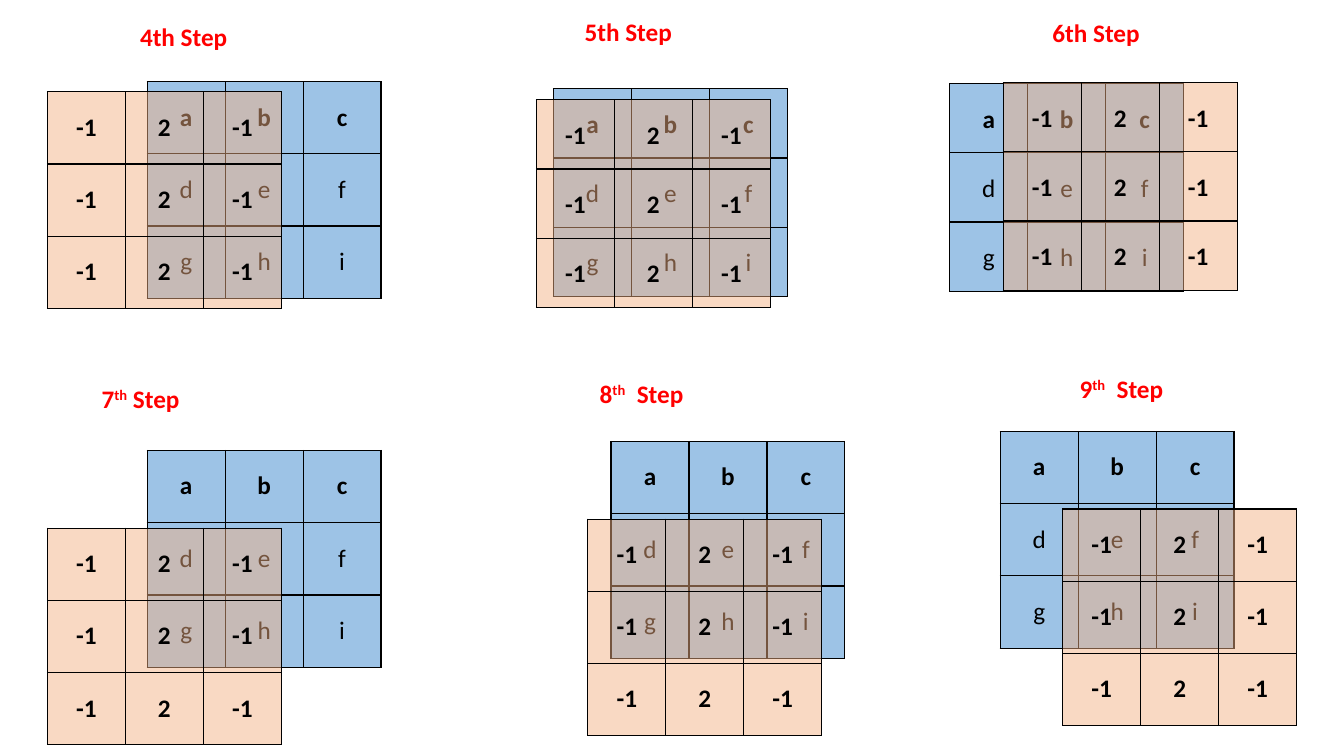
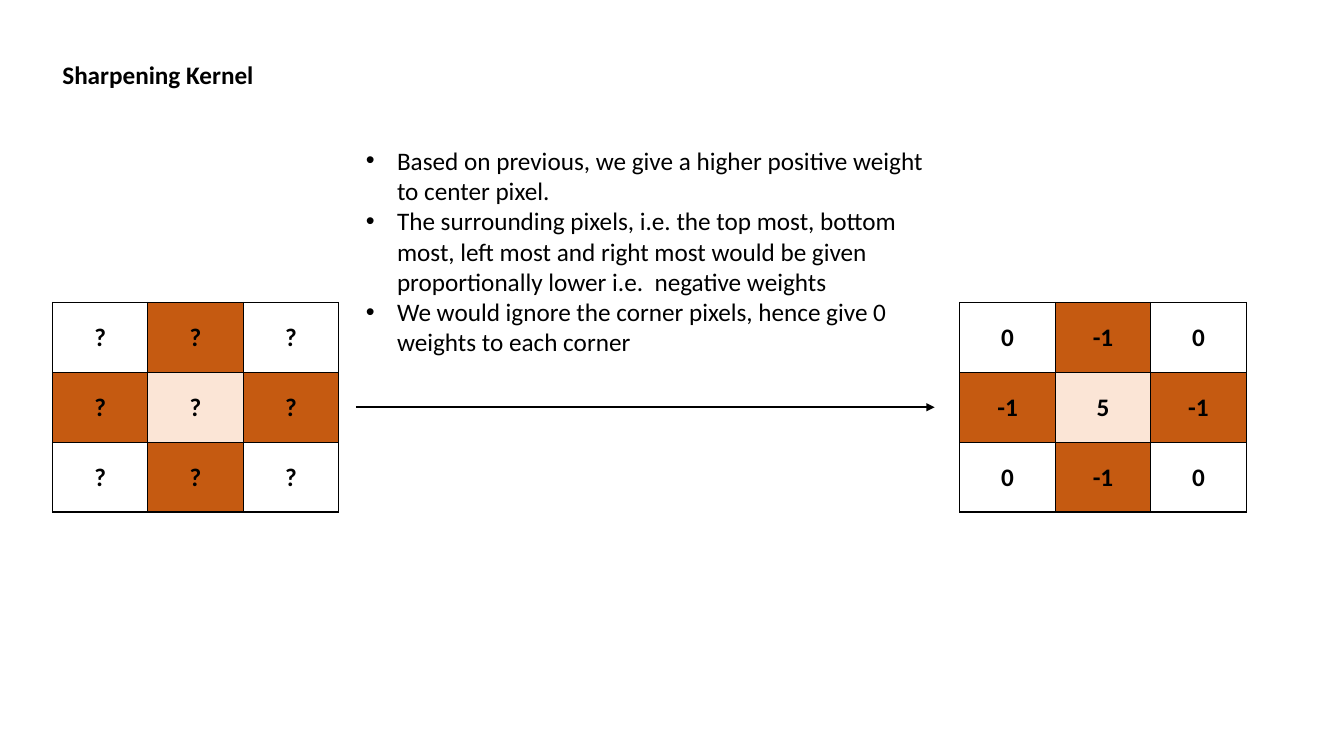
from dataclasses import dataclass
from typing import Any

from lxml.etree import SubElement
from pptx import Presentation
from pptx.dml.color import RGBColor
from pptx.enum.shapes import MSO_CONNECTOR
from pptx.enum.text import PP_ALIGN
from pptx.oxml import parse_xml
from pptx.oxml.ns import nsdecls, qn
from pptx.util import Inches, Pt

BLACK, RED, WHITE = "000000", "FF0000", "FFFFFF"
BLUE, PEACH, RUST, CREAM = "9DC3E6", "F4B183", "C55A11", "FBE5D6"
FONT = {"name": "Calibri", "size": Pt(18), "bold": False}
BOLD = FONT | {"bold": True}
PLAIN = {"first_row": False, "horz_banding": False}
CELL = {"alignment": PP_ALIGN.CENTER, "line_spacing": 1.5}

PIXELS = ["abc", "def", "ghi"]
WEIGHTS = [["-1", "2", "-1"]] * 3
CROSS = [
    [WHITE, RUST, WHITE],
    [RUST, CREAM, RUST],
    [WHITE, RUST, WHITE],
]
POINTS = [
    "Based on previous, we give a higher positive weight to center pixel.",
    "The surrounding pixels, i.e. the top most, bottom most, left most and "
    "right most would be given proportionally lower i.e.  negative weights",
    "We would ignore the corner pixels, hence give 0 weights to each corner",
]


@dataclass
class Box:
    left: float
    top: float
    width: float
    height: float

    def place(self) -> list[int]:
        return [Inches(n) for n in (self.left, self.top, self.width, self.height)]


@dataclass
class Step:
    words: list[str]
    title: Box
    image: tuple[float, float]
    kernel: tuple[float, float]
    height: float = 2.15


STEPS = [
    Step(["4th Step"], Box(1.29, 0.16, 1.75, 0.71), (1.46, 0.81), (0.47, 0.91)),
    Step(["5th Step"], Box(5.7, 0.11, 1.75, 0.71), (5.49, 0.88), (5.32, 0.99), 2.06),
    Step(["6th Step"], Box(10.34, 0.12, 1.75, 0.71), (9.42, 0.83), (9.95, 0.82), 2.06),
    Step(["7", "th", " Step"], Box(0.91, 3.75, 2.04, 0.4), (1.46, 4.47), (0.47, 5.24)),
    Step(["8", "th", "  Step"], Box(5.85, 3.7, 2.04, 0.4), (6.06, 4.38), (5.83, 5.15)),
    Step(["9", "th", "  Step"], Box(10.61, 3.65, 2.04, 0.4), (9.92, 4.28), (10.54, 5.05)),
]


def color(code: str) -> RGBColor:
    return RGBColor.from_string(code)


def apply(item: Any, values: dict[str, Any]) -> None:
    for name, value in values.items():
        setattr(item, name, value)


def write(para: Any, text: str, look: dict[str, Any], code: str = BLACK) -> Any:
    run = para.add_run()
    run.text = text
    apply(run.font, look)
    run.font.color.rgb = color(code)
    return run


def add_text(slide: Any, box: Box) -> Any:
    frame = slide.shapes.add_textbox(*box.place()).text_frame
    frame.word_wrap = True
    return frame


def add_title(slide: Any, box: Box, words: list[str], code: str) -> None:
    para = add_text(slide, box).paragraphs[0]
    for word in words:
        run = write(para, word, BOLD, code)
        if word == "th":
            run._r.get_or_add_rPr().set("baseline", "30000")


def paint(cell: Any, code: str, alpha: int) -> None:
    cell.fill.solid()
    cell.fill.fore_color.rgb = color(code)
    props = cell._tc.get_or_add_tcPr()
    if alpha < 100:
        tint = props.find(f".//{qn('a:srgbClr')}")
        SubElement(tint, qn("a:alpha")).set("val", str(alpha * 1000))
    for spot, side in enumerate("LRTB"):
        props.insert(spot, parse_xml(
            f'<a:ln{side} {nsdecls("a")} w="{Pt(1)}"><a:solidFill>'
            f'<a:srgbClr val="{BLACK}"/></a:solidFill></a:ln{side}>'))


def add_grid(slide: Any, box: Box, texts: list, fills: list,
             alpha: int = 100, light: bool = False) -> None:
    table = slide.shapes.add_table(3, 3, *box.place()).table
    apply(table, PLAIN)
    for col in table.columns:
        col.width = Inches(box.width / 3)
    for r, row in enumerate(table.rows):
        row.height = Inches(box.height / 3)
        for c, cell in enumerate(row.cells):
            paint(cell, fills[r][c], alpha)
            para = cell.text_frame.paragraphs[0]
            apply(para, CELL)
            write(para, texts[r][c], FONT if light and r else BOLD)


def add_points(slide: Any, box: Box, points: list[str]) -> None:
    frame = add_text(slide, box)
    for n, point in enumerate(points):
        para = frame.add_paragraph() if n else frame.paragraphs[0]
        props = para._p.get_or_add_pPr()
        props.set("marL", str(Inches(0.31)))
        props.set("indent", str(-Inches(0.31)))
        SubElement(props, qn("a:buFont")).set("typeface", "Arial")
        SubElement(props, qn("a:buChar")).set("char", "•")
        write(para, point, FONT)


def add_arrow(slide: Any, left: float, right: float, top: float) -> None:
    arrow = slide.shapes.add_connector(
        MSO_CONNECTOR.STRAIGHT, Inches(left), Inches(top), Inches(right), Inches(top))
    arrow.line.width = Pt(1.5)
    arrow.line.color.rgb = color(BLACK)
    props = arrow._element.spPr
    SubElement(props.find(qn("a:ln")), qn("a:tailEnd")).set("type", "triangle")
    SubElement(props, qn("a:effectLst"))


def draw_steps(slide: Any) -> None:
    for step in STEPS:
        add_grid(slide, Box(*step.image, 2.32, step.height), PIXELS,
                 [[BLUE] * 3] * 3, light=True)
        add_grid(slide, Box(*step.kernel, 2.32, step.height), WEIGHTS,
                 [[PEACH] * 3] * 3, alpha=48)
        add_title(slide, step.title, step.words, RED)


def draw_sharpen(slide: Any) -> None:
    add_title(slide, Box(0.52, 0.54, 11.95, 0.71), ["Sharpening Kernel"], BLACK)
    add_points(slide, Box(3.53, 1.39, 5.74, 2.22), POINTS)
    add_grid(slide, Box(0.52, 3, 2.84, 2.08), ["???"] * 3, CROSS)
    add_arrow(slide, 3.53, 9.27, 4.04)
    edge = ["0", "-1", "0"]
    add_grid(slide, Box(9.52, 3, 2.84, 2.08), [edge, ["-1", "5", "-1"], edge], CROSS)


def main() -> None:
    deck = Presentation()
    apply(deck, {"slide_width": Inches(13.33), "slide_height": Inches(7.5)})
    for draw in (draw_steps, draw_sharpen):
        draw(deck.slides.add_slide(deck.slide_layouts[6]))
    deck.save("out.pptx")


if __name__ == "__main__":
    main()
